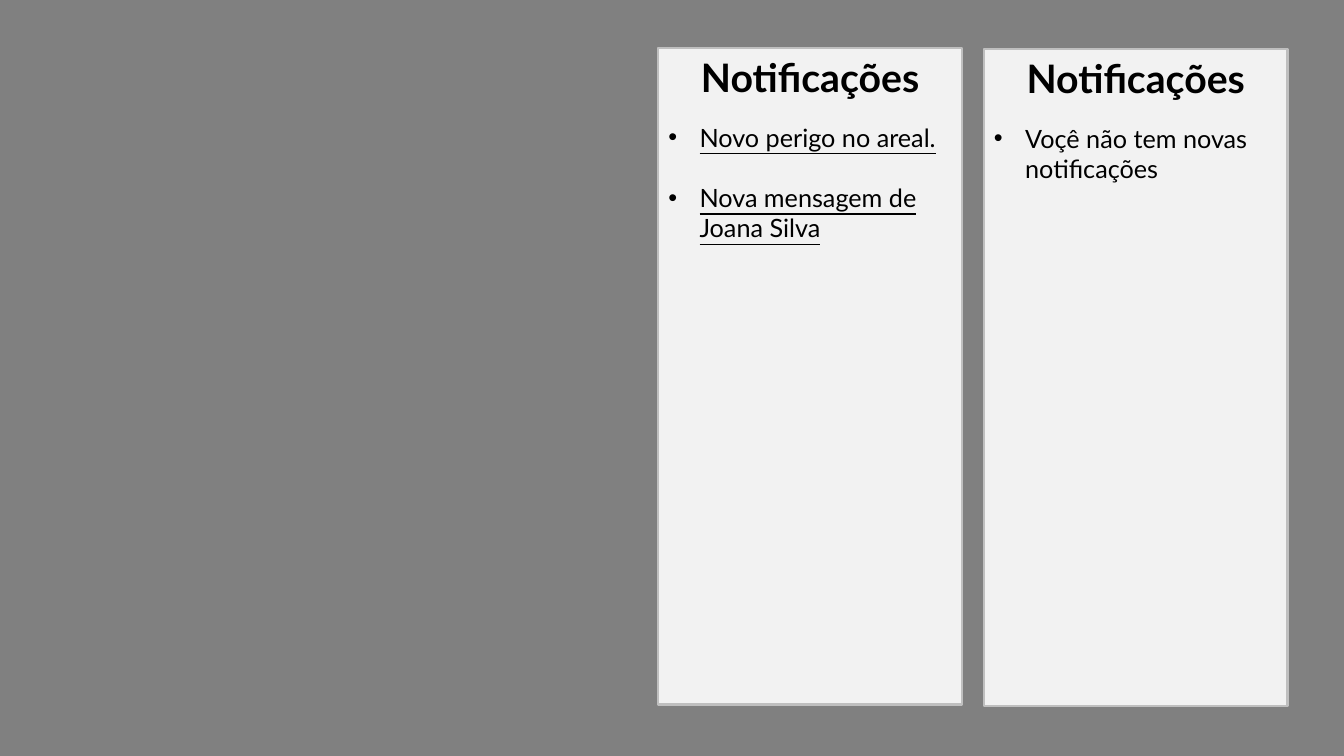
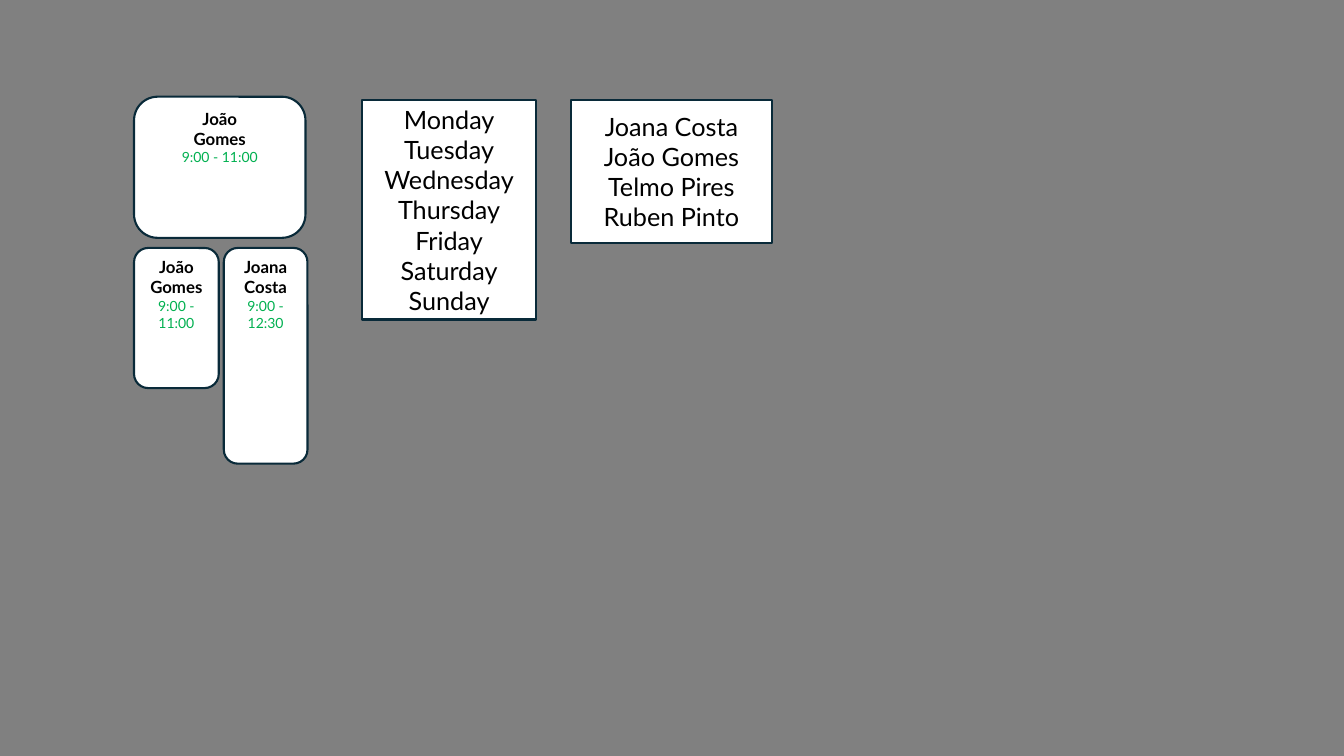
from lxml.etree import SubElement
from pptx import Presentation
from pptx.dml.color import RGBColor
from pptx.enum.shapes import MSO_SHAPE as Shape
from pptx.enum.text import MSO_ANCHOR as Anchor, PP_ALIGN as Align
from pptx.oxml.ns import qn
from pptx.util import Inches, Pt

FONT = "Lato"
GREY = RGBColor(0x80, 0x80, 0x80)
PANEL = RGBColor(0xF2, 0xF2, 0xF2)
PANEL_EDGE = RGBColor(0xBF, 0xBF, 0xBF)
WHITE = RGBColor(0xFF, 0xFF, 0xFF)
NAVY = RGBColor(0x09, 0x2A, 0x39)
BLACK = RGBColor(0, 0, 0)
GREEN = RGBColor(0x00, 0xB0, 0x50)


def add_page(deck):
    """Add a blank slide with the shared grey background."""
    page = deck.slides.add_slide(deck.slide_layouts[6])
    page.background.fill.solid()
    page.background.fill.fore_color.rgb = GREY
    return page


def add_box(page, box, kind=Shape.RECTANGLE, fill=WHITE, edge=NAVY, anchor=Anchor.TOP):
    """Add an outlined shape and return its text frame."""
    shape = page.shapes.add_shape(kind, *map(Inches, box))
    shape.shadow.inherit = False
    shape.fill.solid()
    shape.fill.fore_color.rgb = fill
    shape.line.color.rgb = edge
    shape.line.width = Pt(1.5)
    frame = shape.text_frame
    frame.word_wrap = True
    frame.vertical_anchor = anchor
    return frame


def add_bullet(para, indent=0.31):
    """Give a paragraph a hanging round bullet."""
    props = para._p.get_or_add_pPr()
    props.set("marL", str(Inches(indent)))
    props.set("indent", str(-Inches(indent)))
    SubElement(props, qn("a:buFont"), typeface="Arial")
    SubElement(props, qn("a:buChar"), char="•")


def write(frame, text, size=18, color=BLACK, bold=False, underline=False,
          align=Align.CENTER, bullet=False, gap=0):
    """Write one formatted paragraph, with a gap before it unless it is first."""
    first = not frame.paragraphs[0].runs
    para = frame.paragraphs[0] if first else frame.add_paragraph()
    para.alignment = align
    if gap and not first:
        para.space_before = Pt(gap)
    if bullet:
        add_bullet(para)
    span = para.add_run()
    span.text = text
    font = span.font
    font.name, font.size, font.bold, font.underline = FONT, Pt(size), bold, underline
    font.color.rgb = color


def add_notifications(page, box, items, underline=False):
    """Add a notification panel with a heading and a bulleted list."""
    left, top, width, height = box
    write(add_box(page, box, fill=PANEL, edge=PANEL_EDGE), "Notificações", size=28, bold=True)
    listing = page.shapes.add_textbox(
        Inches(left), Inches(top + 0.68), Inches(width), Inches(0.71 * len(items)))
    frame = listing.text_frame
    frame.word_wrap = True
    for item in items:
        write(frame, item, underline=underline, align=Align.LEFT, bullet=True, gap=21.6)


def add_shift(page, box, names, hours):
    """Add a rounded shift card with a name and its hours."""
    frame = add_box(page, box, kind=Shape.ROUNDED_RECTANGLE)
    for name in names:
        write(frame, name, size=12, bold=True)
    write(frame, hours, size=10, color=GREEN)


def add_options(page, box, options):
    """Add a box of centred options, one a line."""
    frame = add_box(page, box, anchor=Anchor.MIDDLE)
    for option in options:
        write(frame, option)


def build_notifications(deck):
    """Build the slide with the empty and the filled notification panels."""
    page = add_page(deck)
    add_notifications(page, (9.76, 0.49, 3.01, 6.51), ["Voçê não tem novas notificações"])
    add_notifications(page, (6.53, 0.48, 3.01, 6.51),
                      ["Novo perigo no areal.", "Nova mensagem de Joana Silva"], underline=True)


def build_schedule(deck):
    """Build the slide with the shift cards and the option lists."""
    page = add_page(deck)
    add_shift(page, (1.33, 2.46, 0.84, 1.39), ["João", "Gomes"], "9:00 - 11:00")
    add_shift(page, (2.22, 2.46, 0.83, 2.14), ["Joana Costa"], "9:00 - 12:30")
    add_shift(page, (1.33, 0.96, 1.7, 1.4), ["João", "Gomes"], "9:00 - 11:00")
    add_options(page, (5.66, 0.99, 2, 1.42),
                ["Joana Costa", "João Gomes", "Telmo Pires", "Ruben Pinto"])
    add_options(page, (3.59, 0.99, 1.73, 2.18),
                ["Monday", "Tuesday", "Wednesday", "Thursday", "Friday", "Saturday", "Sunday"])


def main():
    """Build and save the deck."""
    deck = Presentation()
    deck.slide_width, deck.slide_height = Inches(13.33), Inches(7.5)
    build_notifications(deck)
    build_schedule(deck)
    deck.save("out.pptx")


if __name__ == "__main__":
    main()
